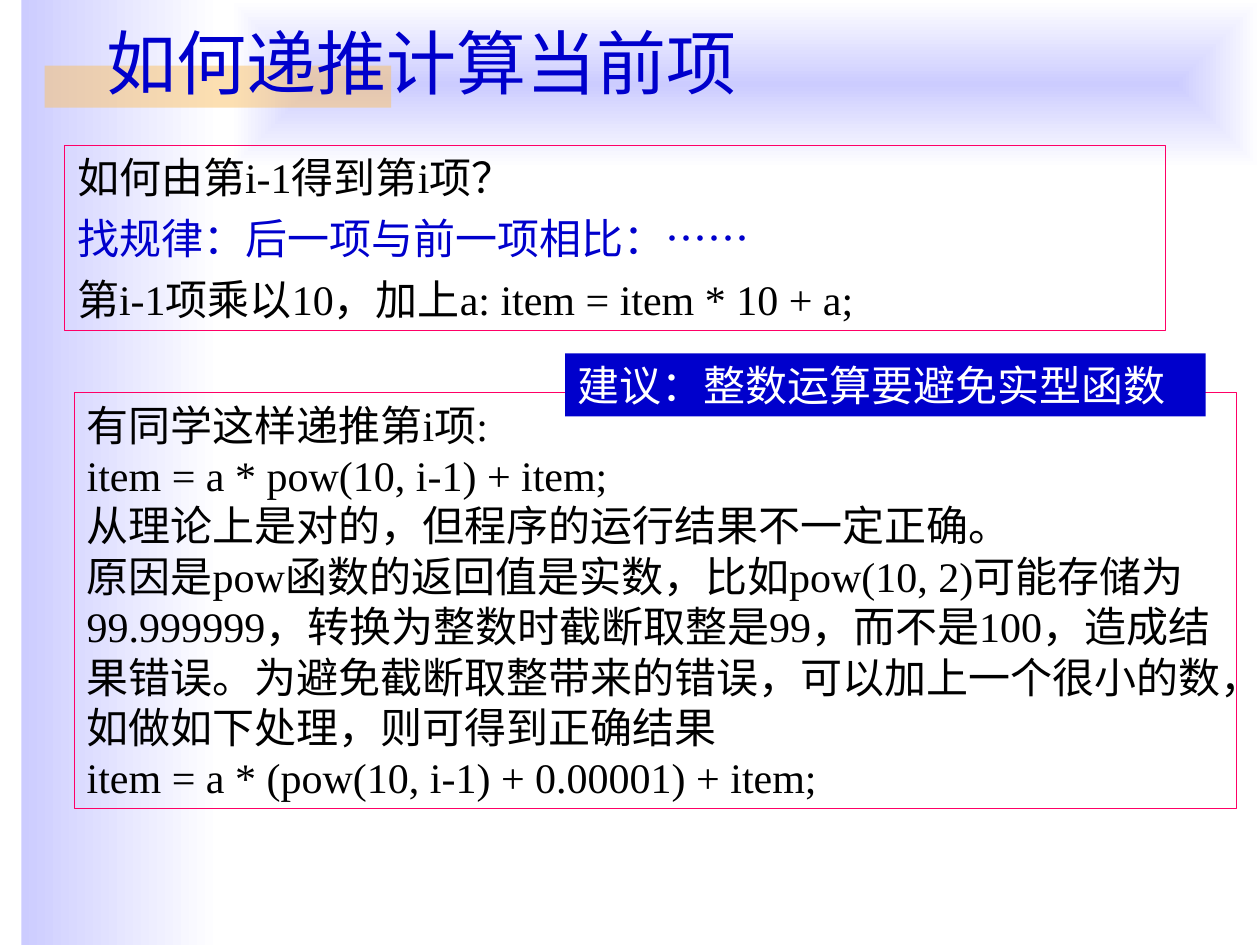
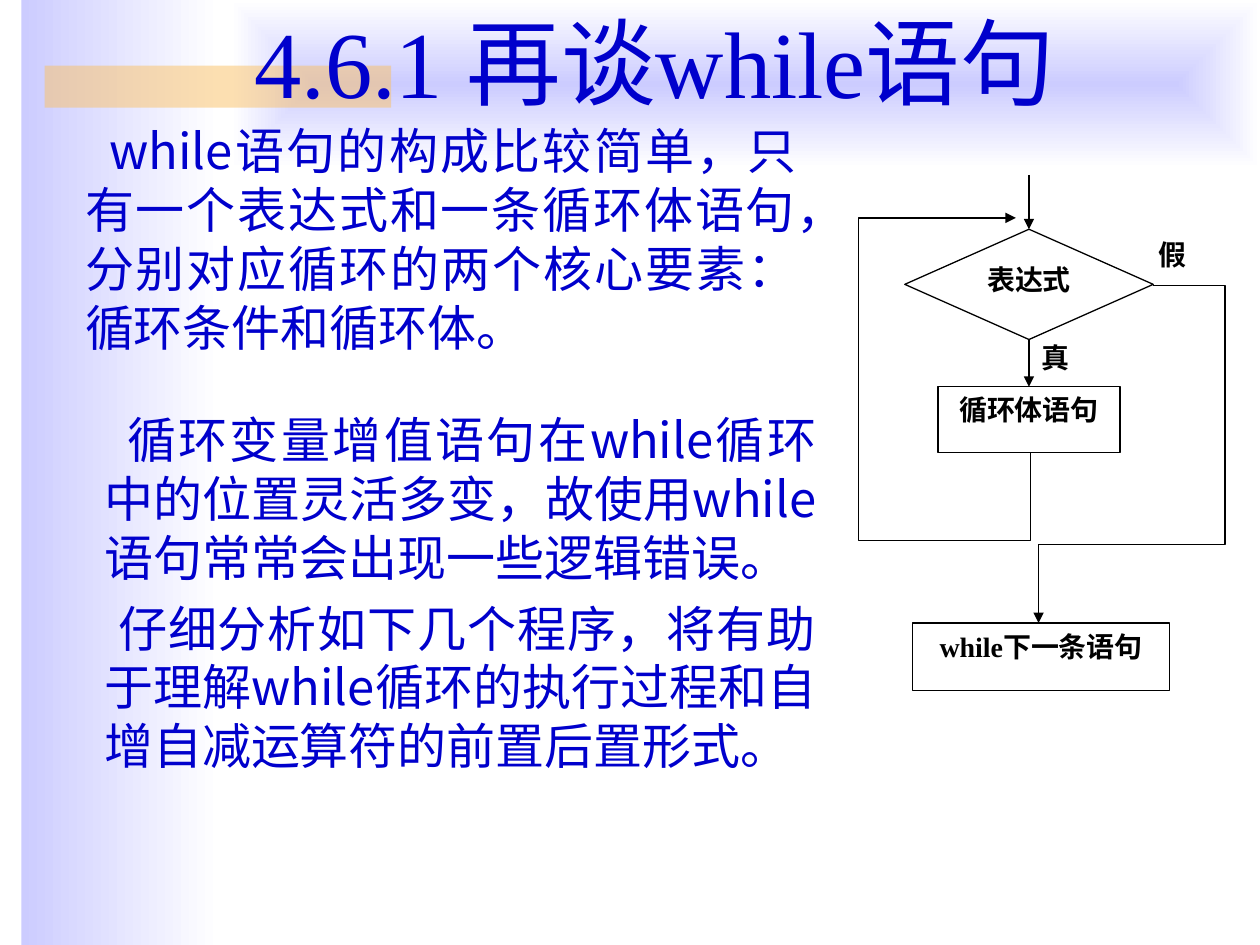
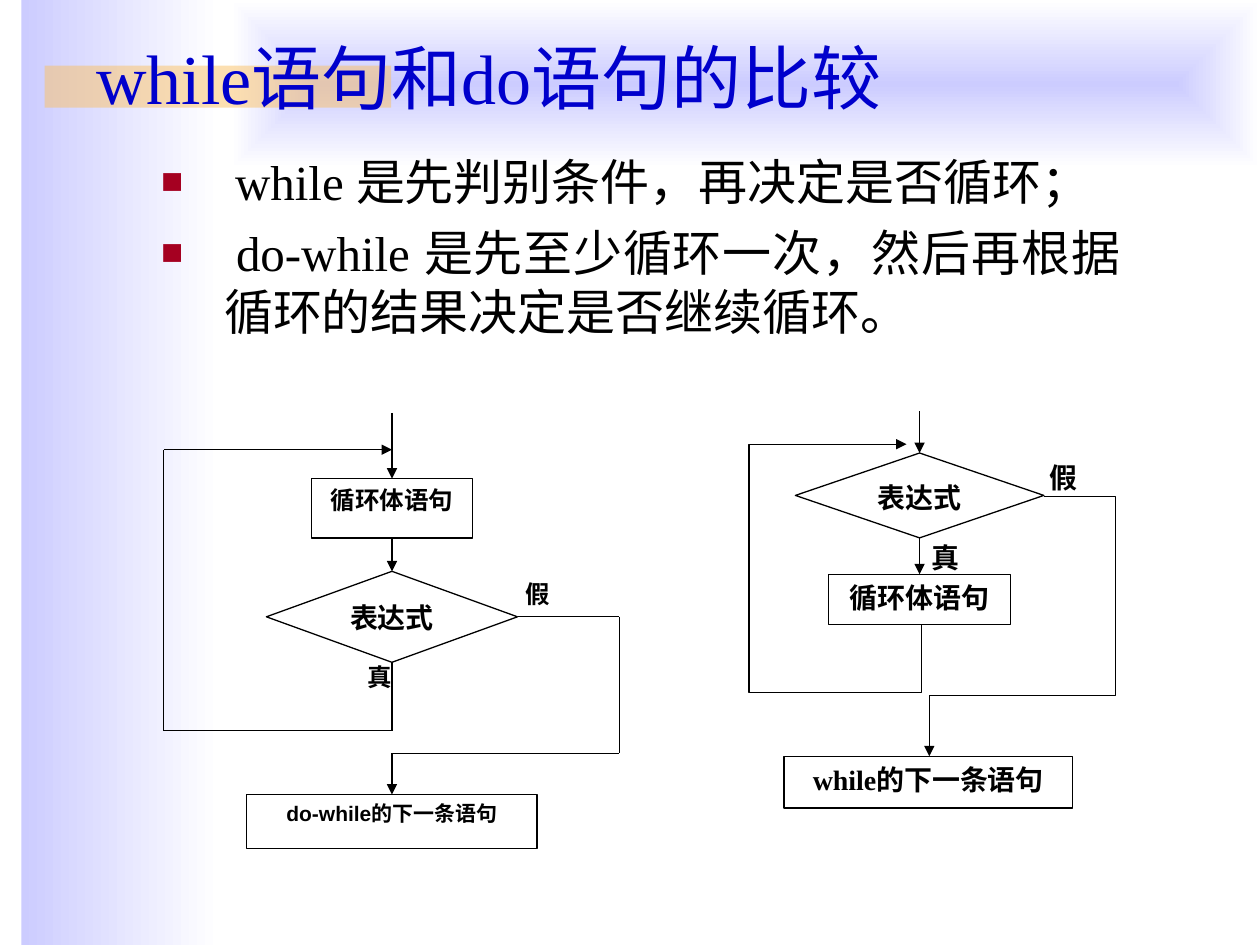
from lxml.etree import SubElement
from pptx import Presentation
from pptx.dml.color import RGBColor
from pptx.enum.shapes import MSO_CONNECTOR, MSO_SHAPE
from pptx.enum.text import MSO_ANCHOR, PP_ALIGN
from pptx.oxml.ns import qn
from pptx.util import Pt

BLUE = RGBColor(0x00, 0x00, 0xCC)
LAVENDER = RGBColor(0xCC, 0xCC, 0xFF)
ORANGE = RGBColor(0xFA, 0xC1, 0x64)
PINK = RGBColor(0xFF, 0x00, 0x66)
CRIMSON = RGBColor(0xA5, 0x00, 0x21)
WHITE = RGBColor(0xFF, 0xFF, 0xFF)
BLACK = RGBColor(0x00, 0x00, 0x00)

SERIF = "Times New Roman"
SANS = "Arial"
CHINESE = "Noto Sans CJK SC"
LINE_WIDTH = 0.75
LINE_HEIGHT = 1.2


def add_box(slide, box, fill=None, line=None, preset=MSO_SHAPE.RECTANGLE):
    shape = slide.shapes.add_shape(preset, *map(Pt, box))
    shape.shadow.inherit = False
    paint(shape, fill, line)
    return shape


def paint(shape, fill, line):
    if fill is None:
        shape.fill.background()
    else:
        shape.fill.solid()
        shape.fill.fore_color.rgb = fill
    if line is None:
        shape.line.fill.background()
    else:
        shape.line.color.rgb = line
        shape.line.width = Pt(LINE_WIDTH)


def write(shape, paragraphs, size, color=BLACK, font=SERIF, bold=False,
          anchor=MSO_ANCHOR.TOP, align=PP_ALIGN.LEFT, space=0, margin=0, indents=(), bullet=False):
    frame = shape.text_frame
    frame.word_wrap = True
    frame.vertical_anchor = anchor
    for index, runs in enumerate(paragraphs):
        paragraph = frame.paragraphs[0] if index == 0 else frame.add_paragraph()
        if bullet:
            add_bullet(paragraph)
        if indents:
            properties = paragraph._p.get_or_add_pPr()
            properties.set("marL", str(Pt(margin)))
            properties.set("indent", str(Pt(indents[index])))
        layout = {"alignment": align, "line_spacing": Pt(size * LINE_HEIGHT),
                  "space_before": Pt(space if index else 0)}
        for name, value in layout.items():
            setattr(paragraph, name, value)
        for text, changes in [(runs, {})] if isinstance(runs, str) else runs:
            run = paragraph.add_run()
            run.text = text
            values = {"size": Pt(size), "bold": bold, "name": font, **changes}
            run.font.color.rgb = values.pop("color", color)
            for name, value in values.items():
                setattr(run.font, name, value)
            SubElement(run._r.get_or_add_rPr(), qn("a:ea"), typeface=CHINESE)


def add_bullet(paragraph):
    properties = paragraph._p.get_or_add_pPr()
    color = SubElement(properties, qn("a:buClr"))
    SubElement(color, qn("a:srgbClr"), val=str(CRIMSON))
    SubElement(properties, qn("a:buSzPct"), val="75000")
    SubElement(properties, qn("a:buFont"), typeface=SANS)
    SubElement(properties, qn("a:buChar"), char="■")


def add_text(slide, box, paragraphs, size, **style):
    write(slide.shapes.add_textbox(*map(Pt, box)), paragraphs, size, **style)


def add_title(slide, box, text, size=40, align=PP_ALIGN.LEFT):
    add_text(slide, box, [text], size, color=BLUE, anchor=MSO_ANCHOR.MIDDLE, align=align)


def add_gradient(slide, box):
    shape = add_box(slide, box)
    shape.fill.gradient()
    shape.fill.gradient_angle = 0
    for stop, color, position in zip(shape.fill.gradient_stops, (LAVENDER, WHITE), (0, 1)):
        stop.color.rgb = color
        stop.position = position
    return shape


def add_background(slide):
    add_gradient(slide, (12.25, 0, 113.75, 540))
    band = add_gradient(slide, (132, 0, 588, 96))
    gradient = band._element.spPr.find(qn("a:gradFill"))
    gradient.remove(gradient.find(qn("a:lin")))
    center = SubElement(gradient, qn("a:path"), {"path": "rect"})
    SubElement(center, qn("a:fillToRect"), dict.fromkeys("ltrb", "50000"))
    accent = add_box(slide, (25.5, 37.5, 198, 24), ORANGE)
    color = accent._element.spPr.find(qn("a:solidFill")).find(qn("a:srgbClr"))
    SubElement(color, qn("a:alpha"), val="50000")


def add_arrowhead(shape):
    SubElement(shape.line._get_or_add_ln(), qn("a:tailEnd"), type="triangle")


def add_line(slide, start, end, arrow=False, source=None, target=None):
    connector = slide.shapes.add_connector(MSO_CONNECTOR.STRAIGHT, *map(Pt, (*start, *end)))
    if source:
        connector.begin_connect(*source)
    if target:
        connector.end_connect(*target)
    connector.line.color.rgb = BLACK
    connector.line.width = Pt(LINE_WIDTH)
    if arrow:
        add_arrowhead(connector)
    SubElement(connector._element.spPr, qn("a:effectLst"))


def add_route(slide, points):
    start, *rest = [tuple(map(Pt, point)) for point in points]
    builder = slide.shapes.build_freeform(*start, scale=1.0)
    builder.add_line_segments(rest, close=False)
    shape = builder.convert_to_shape()
    shape.shadow.inherit = False
    paint(shape, None, BLACK)
    add_arrowhead(shape)


def add_node(slide, box, text, size, font, line=BLACK, preset=MSO_SHAPE.RECTANGLE):
    shape = add_box(slide, box, WHITE, line, preset)
    write(shape, [text], size, font=font, bold=True, align=PP_ALIGN.CENTER)
    return shape


def add_while_chart(slide, left, top, scale, next_text, next_left, next_width):
    center = 97.5

    def at(x, y):
        return left + x, top + y * scale

    def node(x, y, width, height, text, **style):
        return add_node(slide, (*at(x, y), width, height * scale), text, 16, SERIF, **style)

    node(70.5, 91, 84, 39, "真", line=None)
    node(144, 32, 71.5, 39, "假", line=None)
    node(next_left, 256, next_width, 38.5, next_text)
    decision = node(center - 71, 31, 142, 63, "表达式", preset=MSO_SHAPE.FLOWCHART_DECISION)
    body = node(center - 52, 121, 104, 37.5, "循环体语句")
    add_line(slide, at(center, 0), at(center, 31), True, target=(decision, 0))
    add_line(slide, at(center, 94), at(center, 121), True, (decision, 2), (body, 0))
    exit_route = [(168.5, 63), (209.5, 63), (209.5, 211), (103, 211), (103, 256)]
    loop_route = [(98.5, 158.5), (98.5, 209), (0, 209), (0, 24.5), (90, 24.5)]
    for route in (exit_route, loop_route):
        add_route(slide, [at(*point) for point in route])


def add_do_while_chart(slide, left, top):
    center, right = 130.5, 260.5
    entry, choice, loop, leave = 21, 116.5, 181.5, 194.5

    def at(x, y):
        return left + x, top + y

    def node(x, y, width, height, text, size=14, **style):
        return add_node(slide, (*at(x, y), width, height), text, size, SANS, **style)

    node(106, 139, 34.5, 34, "真", line=None)
    node(190, 91.5, 47.5, 34, "假", line=None)
    decision = node(center - 71.75, 90.5, 143.5, 52, "表达式", 16,
                    preset=MSO_SHAPE.FLOWCHART_DECISION)
    body = node(center - 46, 37.5, 92, 34, "循环体语句")
    following = node(center - 83, 218, 166, 31, "do-while的下一条语句", 12)
    lines = [
        ((center, 0), (center, 37.5), True, None, (body, 0)),
        ((center, 71.5), (center, 90.5), True, (body, 2), (decision, 0)),
        ((center, 142.5), (center, loop), False, (decision, 2)),
        ((0, loop), (center, loop)),
        ((0, loop), (0, entry)),
        ((0, entry), (center, entry), True),
        ((202, choice), (right, choice), False, (decision, 3)),
        ((right, choice), (right, leave)),
        ((center, leave), (right, leave)),
        ((center, leave), (center, 218), True, None, (following, 0)),
    ]
    for start, end, *options in lines:
        add_line(slide, at(*start), at(*end), *options)


def build_recurrence_slide(slide):
    add_title(slide, (54, 0, 605.5, 70.5), "如何递推计算当前项")
    mistake = add_box(slide, (42.5, 224.5, 664, 237.5), line=PINK)
    write(mistake, [
        "有同学这样递推第i项:",
        "item = a * pow(10, i-1) + item;",
        "从理论上是对的，但程序的运行结果不一定正确。",
        "原因是pow函数的返回值是实数，比如pow(10, 2)可能存储为99.999999，转换为整数时截断取整是99，"
        "而不是100，造成结果错误。为避免截断取整带来的错误，可以加上一个很小的数，"
        "如做如下处理，则可得到正确结果",
        "item = a * (pow(10, i-1) + 0.00001) + item;",
    ], 24)
    rule = add_box(slide, (37, 83, 629, 106), line=PINK)
    write(rule, [
        "如何由第i-1得到第i项？",
        [("找规律：后一项与前一项相比：", {"color": BLUE}),
         ("……", {"color": BLUE, "name": SANS})],
        "第i-1项乘以10，加上a: item = item * 10 + a;",
    ], 24, space=6)
    advice = add_box(slide, (323, 202, 366, 36), BLUE)
    write(advice, ["建议：整数运算要避免实型函数"], 24, color=WHITE)


def build_while_slide(slide):
    add_title(slide, (54, -2, 640, 73.5), "4.6.1 再谈while语句", 54, PP_ALIGN.CENTER)
    style = {"color": BLUE, "font": CHINESE, "align": PP_ALIGN.JUSTIFY, "space": 7, "margin": 27}
    add_text(slide, (14.5, 65.5, 448, 147.5), [
        "while语句的构成比较简单，只有一个表达式和一条循环体语句，"
        "分别对应循环的两个核心要素：循环条件和循环体。",
    ], 28, indents=(14,), **style)
    add_while_chart(slide, 490.5, 100, 1, "while下一条语句", 31, 147)
    add_text(slide, (25.5, 230.5, 448, 289.5), [
        "循环变量增值语句在while循环中的位置灵活多变，故使用while语句常常会出现一些逻辑错误。",
        "仔细分析如下几个程序，将有助于理解while循环的执行过程和自增自减运算符的前置后置形式。",
    ], 28, indents=(13, 8), **style)


def build_comparison_slide(slide):
    latin = {"name": SERIF}
    add_text(slide, (85, 83, 562.5, 131), [
        [(" ", {}), ("while ", latin), ("是先判别条件，再决定是否循环；", {})],
        [(" ", {}), ("do-while ", latin),
         ("是先至少循环一次，然后再根据循环的结果决定是否继续循环。", {})],
    ], 28, font=CHINESE, align=PP_ALIGN.JUSTIFY, space=7, margin=36, indents=(-36, -36), bullet=True)
    add_title(slide, (48, 8, 615.5, 71.5), "while语句和do语句的比较")
    add_do_while_chart(slide, 93.5, 236)
    add_while_chart(slide, 428, 235, 0.77, "while的下一条语句", 20, 165)


def main():
    presentation = Presentation()
    presentation.slide_width = Pt(720)
    presentation.slide_height = Pt(540)
    for build in (build_recurrence_slide, build_while_slide, build_comparison_slide):
        slide = presentation.slides.add_slide(presentation.slide_layouts[6])
        add_background(slide)
        build(slide)
    presentation.save("out.pptx")


if __name__ == "__main__":
    main()
